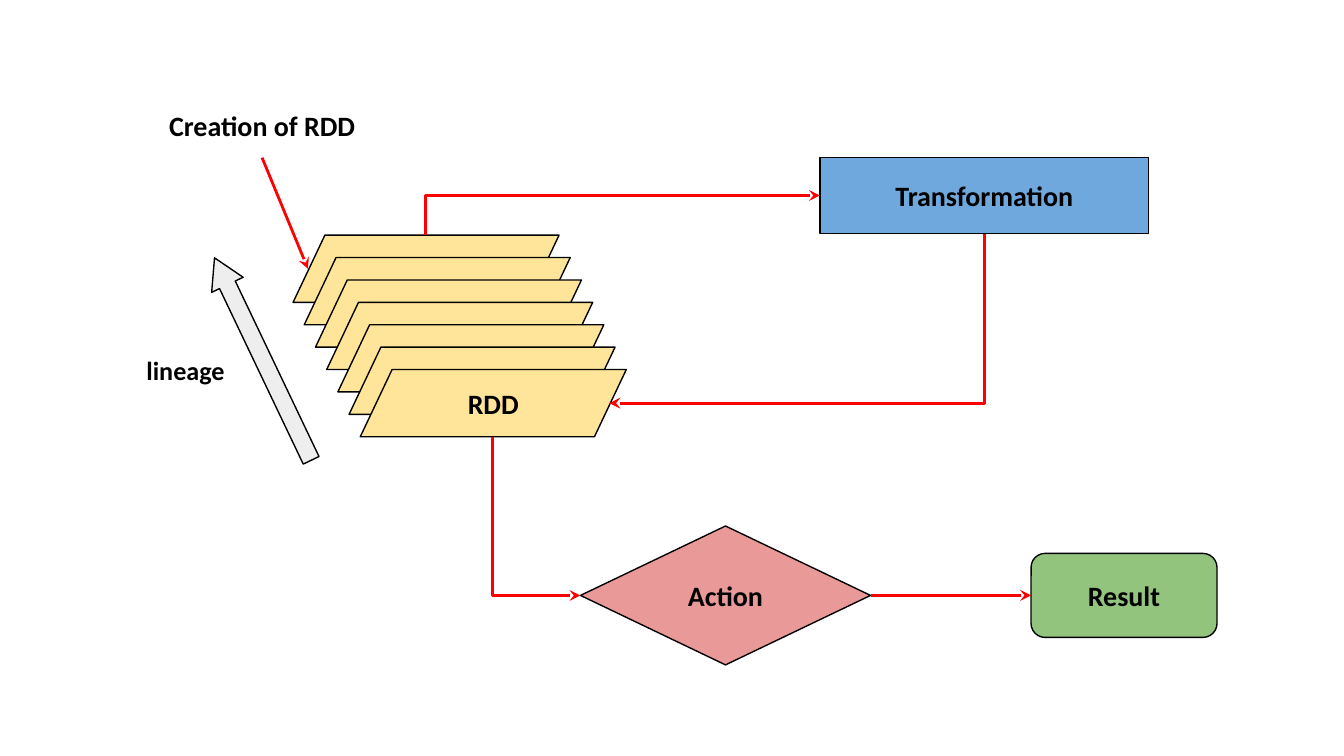
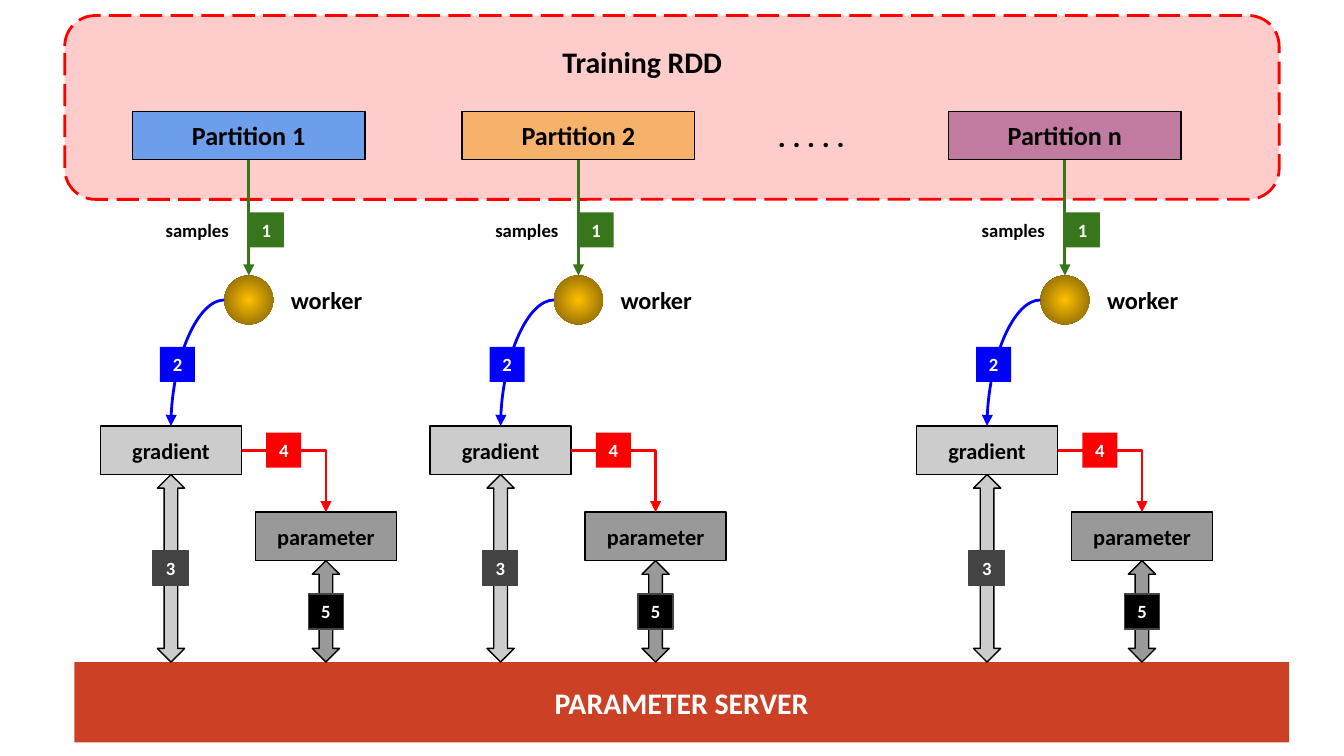
from lxml import etree
from pptx import Presentation
from pptx.dml.color import RGBColor
from pptx.enum import dml, shapes, text
from pptx.oxml.ns import qn
from pptx.util import Pt

FONT = "Calibri"
BLACK, WHITE, RED = "000000", "FFFFFF", "FF0000"
GREEN, BLUE, DARK_GREY = "38761D", "0000FF", "434343"
LIGHT_GREY, MID_GREY = "CCCCCC", "999999"
SHAPE = shapes.MSO_SHAPE
LINK = shapes.MSO_CONNECTOR


def color(hex_string):
    return RGBColor.from_string(hex_string)


def write(shape, words, size=15, ink=BLACK):
    """Centre bold text in a shape or text box."""
    frame = shape.text_frame
    frame.word_wrap = True
    frame.vertical_anchor = text.MSO_ANCHOR.MIDDLE
    frame.margin_left = frame.margin_right = 0
    frame.margin_top = frame.margin_bottom = 0
    para = frame.paragraphs[0]
    para.alignment = text.PP_ALIGN.CENTER
    span = para.add_run()
    span.text = words
    span.font.name = FONT
    span.font.size = Pt(size)
    span.font.bold = True
    span.font.color.rgb = color(ink)


def add_label(page, box, words, **style):
    write(page.shapes.add_textbox(*map(Pt, box)), words, **style)


def add_box(page, kind, box, fill, words=None, line=BLACK, **style):
    shape = page.shapes.add_shape(kind, *map(Pt, box))
    shape.shadow.inherit = False
    shape.fill.solid()
    shape.fill.fore_color.rgb = color(fill)
    if line:
        shape.line.color.rgb = color(line)
        shape.line.width = Pt(0.75)
    else:
        shape.line.fill.background()
    if words:
        write(shape, words, **style)
    return shape


def add_arrow(page, start, end, ink, head, kind=LINK.STRAIGHT, down_first=False):
    """Join two points; bent and curved links make a single turn."""
    (x1, y1), (x2, y2) = start, end
    if down_first:
        # The link is laid on its side, then turned a quarter clockwise.
        mid_x, mid_y = (x1 + x2) / 2, (y1 + y2) / 2
        half_x, half_y = (x2 - x1) / 2, (y2 - y1) / 2
        x1, x2 = mid_x - half_y, mid_x + half_y
        y1, y2 = mid_y + half_x, mid_y - half_x
    link = page.shapes.add_connector(kind, Pt(x1), Pt(y1), Pt(x2), Pt(y2))
    link.line.color.rgb = color(ink)
    link.line.width = Pt(1.5)
    props = link._element.spPr
    if down_first:
        props.find(qn("a:xfrm")).set("rot", "5400000")
    if kind != LINK.STRAIGHT:
        name = "bentConnector2" if kind == LINK.ELBOW else "curvedConnector2"
        props.find(qn("a:prstGeom")).set("prst", name)
    etree.SubElement(props.find(qn("a:ln")), qn("a:tailEnd"), type=head)
    etree.SubElement(props, qn("a:effectLst"))


def draw_rdd_stack(page, left, top):
    """Seven overlapping sheets, the front one named."""
    sheets = 7
    for index in range(sheets):
        box = (left + 6 * index, top + 12 * index, 142.5, 36)
        sheet = add_box(page, SHAPE.PARALLELOGRAM, box, "FFE599",
                        "RDD" if index == sheets - 1 else None)
        sheet.adjustments[0] = 0.474


def draw_lineage(page, left, top):
    arrow = add_box(page, SHAPE.RIGHT_ARROW, (left + 13, top + 3, 120.2, 18.7), "EEEEEE")
    arrow.adjustments[1] = 0.855
    arrow.rotation = 244.5
    add_label(page, (left, top, 63.4, 36), "lineage", size=14)


def draw_rdd_flow(page):
    def arrow(start, end, **turn):
        add_arrow(page, start, end, RED, "stealth", **turn)

    draw_rdd_stack(page, 157, 126)
    draw_lineage(page, 67.7, 180)
    add_label(page, (81.4, 49, 118, 36), "Creation of RDD")
    add_box(page, SHAPE.RECTANGLE, (439.3, 84.3, 176, 41), "6FA8DC", "Transformation")
    add_box(page, SHAPE.DIAMOND, (311, 281.8, 155.4, 74.4), "EA9999", "Action")
    add_box(page, SHAPE.ROUNDED_RECTANGLE, (552.4, 296.5, 99.6, 45), "93C47D", "Result")

    arrow((140.4, 84.5), (165, 144))
    arrow((228, 126), (439.3, 104.8), kind=LINK.ELBOW, down_first=True)
    arrow((527.3, 125.3), (326.5, 216), kind=LINK.ELBOW, down_first=True)
    arrow((264, 234), (311, 319), kind=LINK.ELBOW, down_first=True)
    arrow((466.4, 319), (552.4, 319))


def draw_training_band(page, left, top):
    band = add_box(page, SHAPE.ROUNDED_RECTANGLE, (left, top, 650.6, 98.5), RED, line=RED)
    band.line.width = Pt(1.5)
    band.line.dash_style = dml.MSO_LINE.LONG_DASH
    fill = band._element.spPr.find(qn("a:solidFill"))
    etree.SubElement(fill[0], qn("a:alpha"), val="20000")
    add_label(page, (left + 36.6, top + 8, 545.6, 33), "Training RDD", size=16)
    add_label(page, (left + 337.6, top + 42.5, 124.6, 44), ". . . . .", size=16)


def draw_worker(page, left, top):
    ball = add_box(page, SHAPE.OVAL, (left, top, 26.2, 26.2), WHITE, line=None)
    ball.fill.gradient()
    for stop, ink in zip(ball.fill.gradient_stops, ("FFC002", "795B04")):
        stop.color.rgb = color(ink)
    blend = ball._element.spPr.find(qn("a:gradFill"))
    blend.remove(blend.find(qn("a:lin")))
    circle = etree.SubElement(blend, qn("a:path"), path="circle")
    etree.SubElement(circle, qn("a:fillToRect"), l="50000", t="50000", r="50000", b="50000")
    add_label(page, (left + 26.6, top, 56.2, 26.2), "worker", size=13)


def draw_partition(page, left, top, name, fill, server_top):
    """One training column, from its partition down to the server."""
    center = left + 62.3
    gradient_x, parameter_x = left + 20.6, left + 103.6
    part_bottom, worker_top = top + 26, top + 88
    worker_mid = worker_top + 13.1
    gradient_top, parameter_top = top + 168.6, top + 214.8
    node_width, node_height = 75.6, 26

    add_box(page, SHAPE.RECTANGLE, (left, top, 124.6, 26), fill, name, size=14)
    draw_worker(page, center - 13.1, worker_top)
    nodes = (("gradient", gradient_x, gradient_top, LIGHT_GREY),
             ("parameter", parameter_x, parameter_top, MID_GREY))
    for words, mid, node_top, shade in nodes:
        add_box(page, SHAPE.RECTANGLE,
                (mid - node_width / 2, node_top, node_width, node_height),
                shade, words, size=12)
        base = node_top + node_height
        add_box(page, SHAPE.UP_DOWN_ARROW, (mid - 7.3, base, 14.6, server_top - base), shade)

    add_arrow(page, (center, part_bottom), (center, worker_top), GREEN, "triangle")
    add_arrow(page, (center - 13.1, worker_mid), (gradient_x, gradient_top),
              BLUE, "triangle", kind=LINK.CURVE)
    add_arrow(page, (gradient_x + node_width / 2, gradient_top + node_height / 2),
              (parameter_x, parameter_top), RED, "triangle", kind=LINK.ELBOW)
    add_label(page, (left + 6.5, top + 50.7, 56.2, 26), "samples", size=10)

    steps = (("1", 62.3, 54.2, GREEN, None), ("2", 14.7, 126.2, BLUE, None),
             ("3", 11, 235.4, DARK_GREY, DARK_GREY), ("4", 71.6, 172.2, RED, None),
             ("5", 94.2, 258.6, BLACK, DARK_GREY))
    for number, across, down, shade, line in steps:
        add_box(page, SHAPE.RECTANGLE, (left + across, top + down, 18.8, 18.8),
                shade, number, line=line, size=10, ink=WHITE)


def draw_parameter_server(page):
    server_top = 354.7
    draw_training_band(page, 34.7, 8.3)
    add_box(page, SHAPE.RECTANGLE, (39.8, server_top, 650.8, 43), "CC4125",
            "PARAMETER SERVER", line=None, size=16, ink=WHITE)
    columns = ((71, "Partition 1", "6D9EEB"), (247.6, "Partition 2", "F6B26B"),
               (508.2, "Partition n", "C27BA0"))
    for left, name, fill in columns:
        draw_partition(page, left, 59.6, name, fill, server_top)


def main():
    deck = Presentation()
    deck.slide_width, deck.slide_height = Pt(720), Pt(405)
    blank = deck.slide_layouts[6]
    for draw in (draw_rdd_flow, draw_parameter_server):
        draw(deck.slides.add_slide(blank))
    deck.save("out.pptx")


if __name__ == "__main__":
    main()
